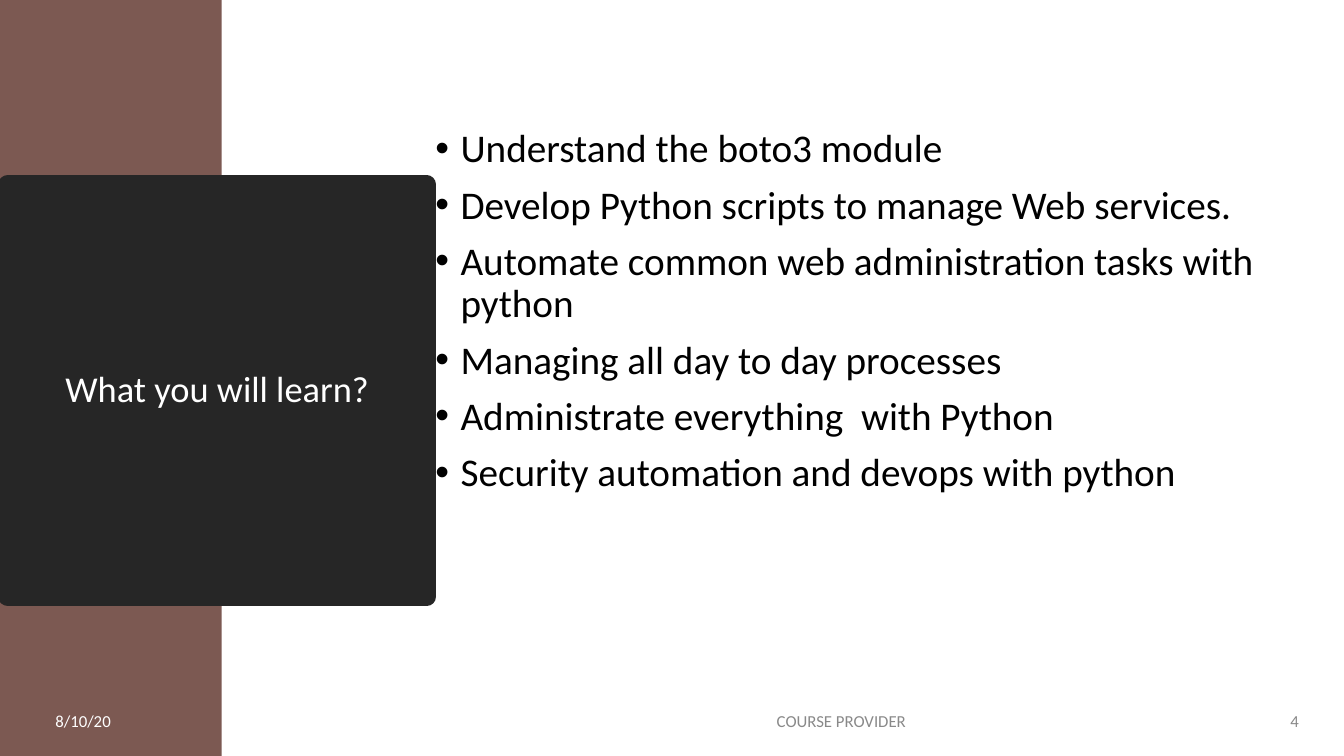
"""Build the course overview slide with a title panel and a bulleted list."""
from lxml.etree import SubElement
from pptx import Presentation
from pptx.dml.color import RGBColor
from pptx.enum.shapes import MSO_SHAPE
from pptx.enum.text import MSO_ANCHOR, PP_ALIGN
from pptx.oxml.ns import qn
from pptx.util import Inches, Pt

BROWN = RGBColor(0x7C, 0x59, 0x52)
CHARCOAL = RGBColor(0x26, 0x26, 0x26)
WHITE = RGBColor(0xFF, 0xFF, 0xFF)
GRAY = RGBColor(0x89, 0x89, 0x89)
BLACK = RGBColor(0, 0, 0)

TOPICS = [
    "Understand the boto3 module",
    "Develop Python scripts to manage Web services.",
    "Automate common web administration tasks with python",
    "Managing all day to day processes",
    "Administrate everything  with Python",
    "Security automation and devops with python",
]


def write(para, text, size, color, align=PP_ALIGN.LEFT, spacing=1.0, bullet=False):
    if bullet:
        properties = para._p.get_or_add_pPr()
        properties.set("marL", str(Inches(0.25)))
        properties.set("indent", str(Inches(-0.25)))
        SubElement(properties, qn("a:buFont"), typeface="Arial")
        SubElement(properties, qn("a:buChar"), char="•")
    para.alignment = align
    para.line_spacing = spacing
    span = para.add_run()
    span.text = text
    span.font.name = "Calibri"
    span.font.size = Pt(size)
    span.font.color.rgb = color


deck = Presentation()
deck.slide_width = Inches(13.33)
deck.slide_height = Inches(7.5)
page = deck.slides.add_slide(deck.slide_layouts[6])

band = page.shapes.add_shape(MSO_SHAPE.RECTANGLE, 0, 0, Inches(2.2), Inches(7.5))
band.shadow.inherit = False
band.fill.solid()
band.fill.fore_color.rgb = BROWN
band.line.fill.background()

panel = page.shapes.add_shape(
    MSO_SHAPE.RECTANGLE, Inches(0.08), Inches(1.83), Inches(4.15), Inches(4.09))
panel.shadow.inherit = False
panel.fill.solid()
panel.fill.fore_color.rgb = CHARCOAL
panel.line.color.rgb = CHARCOAL
panel.line.width = Pt(13.75)
SubElement(panel.line._get_or_add_ln(), qn("a:round"))
panel.text_frame.word_wrap = True
panel.text_frame.vertical_anchor = MSO_ANCHOR.MIDDLE
write(panel.text_frame.paragraphs[0], "What you will learn?", size=26, color=WHITE,
      align=PP_ALIGN.CENTER, spacing=0.9)

for text, left, width, color, align in [
    ("8/10/20", 0.45, 1.62, WHITE, PP_ALIGN.LEFT),
    ("COURSE PROVIDER", 4.5, 7.69, GRAY, PP_ALIGN.CENTER),
    ("4", 12.37, 0.61, GRAY, PP_ALIGN.RIGHT),
]:
    footer = page.shapes.add_textbox(Inches(left), Inches(6.95), Inches(width), Inches(0.4))
    footer.text_frame.word_wrap = True
    footer.text_frame.vertical_anchor = MSO_ANCHOR.MIDDLE
    write(footer.text_frame.paragraphs[0], text, size=12, color=color, align=align)

box = page.shapes.add_textbox(Inches(4.22), Inches(1.23), Inches(8.76), Inches(5.57))
box.text_frame.word_wrap = True
for index, topic in enumerate(TOPICS):
    para = box.text_frame.add_paragraph() if index else box.text_frame.paragraphs[0]
    write(para, topic, size=28, color=BLACK, spacing=0.9, bullet=True)
    if index:
        para.space_before = Pt(10)

deck.save("out.pptx")
